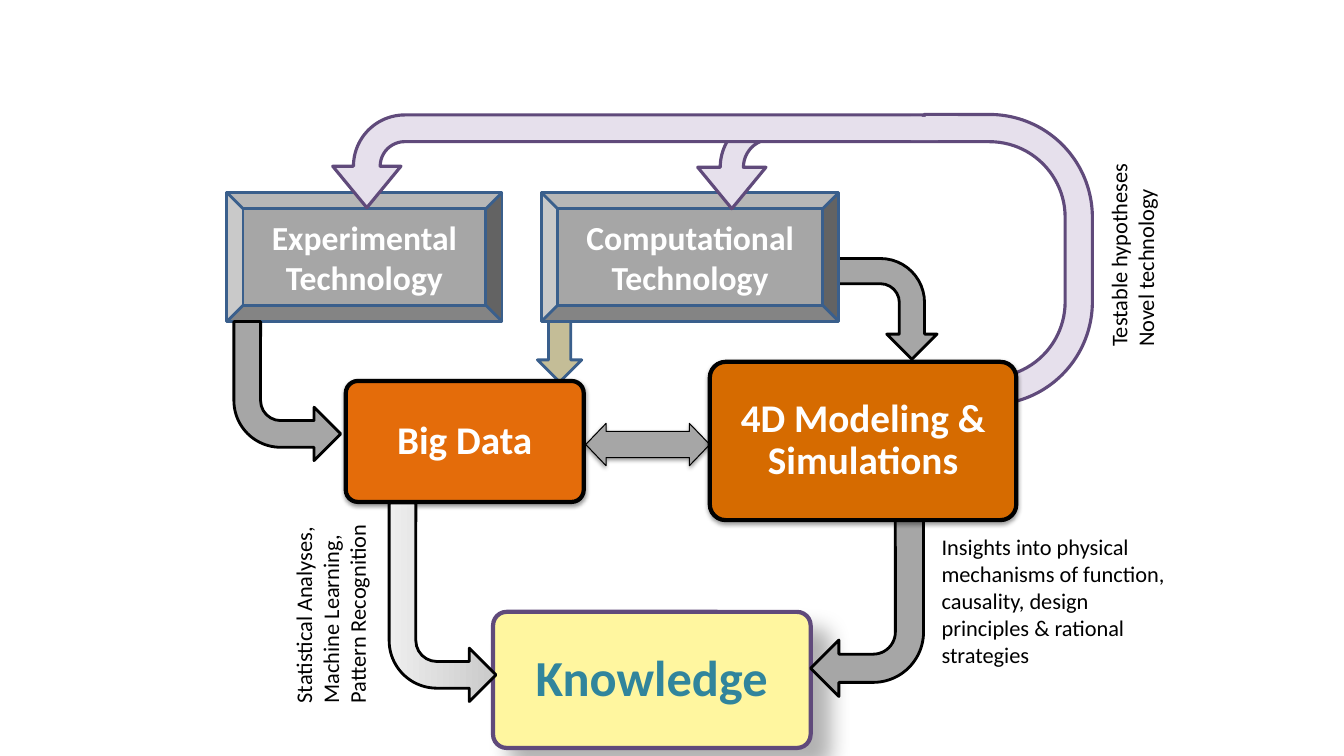
from dataclasses import dataclass
from typing import Optional

from lxml.etree import SubElement
from pptx import Presentation
from pptx.dml.color import RGBColor
from pptx.enum.shapes import MSO_SHAPE
from pptx.enum.text import MSO_ANCHOR, MSO_AUTO_SIZE, PP_ALIGN
from pptx.oxml.ns import qn
from pptx.util import Inches, Pt

FONT = "Calibri"
BLACK, WHITE = "000000", "FFFFFF"
GRAY, BLUE = "A6A6A6", "3A5F8C"
LILAC, PURPLE = "E6E0EC", "604A7B"


@dataclass
class Shadow:
    alpha: int
    blur: float
    dist: float
    angle: int


@dataclass
class Label:
    text: str
    size: int
    color: str = WHITE
    inset: float = 0.1
    spacing: Optional[float] = None


@dataclass
class Block:
    kind: MSO_SHAPE
    at: tuple[float, float, float, float]
    fill: str | tuple[str, str]
    line: Optional[str] = BLACK
    width: float = 2
    rot: int = 0
    flip: str = ""
    adj: tuple[float, ...] = ()
    shadow: Optional[Shadow] = None
    label: Optional[Label] = None


@dataclass
class Note:
    at: tuple[float, float, float, float]
    text: str
    rot: int = 0


SOFT = Shadow(38, 3.1, 1.6, 90)
DEEP = Shadow(30, 15, 18, 45)
BENT, BEVEL, ROUND = MSO_SHAPE.BENT_ARROW, MSO_SHAPE.BEVEL, MSO_SHAPE.ROUNDED_RECTANGLE
LONG_BEND = (0.25, 0.25, 0.25, 0.446)


def card(at: tuple[float, float, float, float], fill: str, line: str,
         shadow: Shadow, text: str, size: int, color: str = WHITE) -> Block:
    return Block(ROUND, at, fill, line, 3, adj=(0.1,), shadow=shadow,
                 label=Label(text, size, color, 0.16, 0.9))


def bevel(at: tuple[float, float, float, float], text: str) -> Block:
    return Block(BEVEL, at, GRAY, BLUE, label=Label(text, 24))


def feedback(at: tuple[float, float, float, float], shaft: float) -> Block:
    return Block(BENT, at, LILAC, PURPLE, 2.25, 90, "V", (shaft, 0.368, 0.447, 0.553))


ITEMS: list[Block | Note] = [
    Block(MSO_SHAPE.RIGHT_ARROW, (5.09, 3.11, 0.92, 0.44), "C4BD97", BLUE, rot=90),
    card((4.89, 6.07, 3.15, 1.35), "FFF69F", PURPLE, DEEP, "Knowledge", 36, "31859C"),
    Block(MSO_SHAPE.LEFT_RIGHT_ARROW, (5.81, 4.2, 1.23, 0.42), GRAY, width=0.75,
          adj=(0.62, 0.48), shadow=SOFT),
    card((3.43, 3.78, 2.36, 1.2), "E46C0A", BLACK, SOFT, "Big Data", 28),
    bevel((2.25, 1.91, 2.73, 1.28), "Experimental Technology"),
    Block(BENT, (2.32, 3.19, 1.06, 1.38), GRAY, flip="V"),
    Block(BENT, (3.86, 4.99, 1.06, 1.97), ("CACACA", "EEEEEE"), flip="V", adj=LONG_BEND),
    Block(BENT, (8.04, 4.86, 1.12, 2.05), GRAY, flip="HV", adj=LONG_BEND),
    Note((2, 5.34, 2.56, 0.91),
         "Statistical Analyses, Machine Learning, Pattern Recognition", 270),
    Note((9.24, 5.24, 2.51, 1.45),
         "Insights into physical mechanisms of function, causality, design "
         "principles & rational strategies"),
    Block(BENT, (8.12, 2.39, 1, 1.35), GRAY, rot=270, flip="HV"),
    bevel((5.37, 1.91, 2.95, 1.28), "Computational Technology"),
    Block(MSO_SHAPE.U_TURN_ARROW, (8.23, 1.41, 2.88, 2.33), LILAC, PURPLE, 2.25, 90, "H",
          (0.141, 0.058, 0, 0.438, 0.717)),
    card((7.04, 3.59, 3.04, 1.57), "D66B00", BLACK, SOFT, "4D Modeling & Simulations", 28),
    feedback((7.58, 0.49, 0.92, 2.24), 0.25),
    feedback((5.77, -1.33, 0.92, 5.86), 0.288),
    Block(ROUND, (9, 1.16, 0.34, 0.23), LILAC, None),
    Note((10.1, 2.09, 2.26, 0.64), "Testable hypotheses Novel technology", 270),
]


def rgb(color: str) -> RGBColor:
    return RGBColor.from_string(color)


def set_font(p, size: int, color: str, bold: bool = False) -> None:
    p.font.name = FONT
    p.font.size = Pt(size)
    p.font.bold = bold
    p.font.color.rgb = rgb(color)


def add_shadow(sp, shadow: Shadow) -> None:
    effects = sp.element.spPr.find(qn("a:effectLst"))
    outer = SubElement(effects, qn("a:outerShdw"), blurRad=str(Pt(shadow.blur)),
                       dist=str(Pt(shadow.dist)), dir=str(shadow.angle * 60000),
                       algn="tl", rotWithShape="0")
    color = SubElement(outer, qn("a:srgbClr"), val=BLACK)
    SubElement(color, qn("a:alpha"), val=str(shadow.alpha * 1000))


def add_label(sp, label: Label) -> None:
    tf = sp.text_frame
    tf.word_wrap = True
    tf.vertical_anchor = MSO_ANCHOR.MIDDLE
    tf.margin_left = tf.margin_right = Inches(label.inset)
    tf.margin_top = tf.margin_bottom = Inches(min(label.inset, 0.16) if label.spacing else 0.05)
    p = tf.paragraphs[0]
    p.text = label.text
    p.alignment = PP_ALIGN.CENTER
    if label.spacing:
        p.line_spacing = label.spacing
    set_font(p, label.size, label.color, True)


def add_block(slide, block: Block) -> None:
    sp = slide.shapes.add_shape(block.kind, *map(Inches, block.at))
    sp.rotation = block.rot
    for axis in block.flip:
        sp.element.spPr.xfrm.set(f"flip{axis}", "1")
    for i, value in enumerate(block.adj):
        sp.adjustments[i] = value
    if isinstance(block.fill, tuple):
        sp.fill.gradient()
        sp.fill.gradient_angle = 180
        for stop, color in zip(sp.fill.gradient_stops, block.fill):
            stop.color.rgb = rgb(color)
    else:
        sp.fill.solid()
        sp.fill.fore_color.rgb = rgb(block.fill)
    if block.line:
        sp.line.color.rgb = rgb(block.line)
        sp.line.width = Pt(block.width)
    else:
        sp.line.fill.background()
    sp.shadow.inherit = False
    if block.shadow:
        add_shadow(sp, block.shadow)
    if block.label:
        add_label(sp, block.label)


def add_note(slide, note: Note) -> None:
    sp = slide.shapes.add_textbox(*map(Inches, note.at))
    sp.rotation = note.rot
    tf = sp.text_frame
    tf.word_wrap = True
    tf.auto_size = MSO_AUTO_SIZE.SHAPE_TO_FIT_TEXT
    p = tf.paragraphs[0]
    p.text = note.text
    set_font(p, 16, BLACK)


def main() -> None:
    prs = Presentation()
    prs.slide_width, prs.slide_height = Inches(13.33), Inches(7.5)
    slide = prs.slides.add_slide(prs.slide_layouts[6])
    for item in ITEMS:
        if isinstance(item, Block):
            add_block(slide, item)
        else:
            add_note(slide, item)
    prs.save("out.pptx")


if __name__ == "__main__":
    main()
